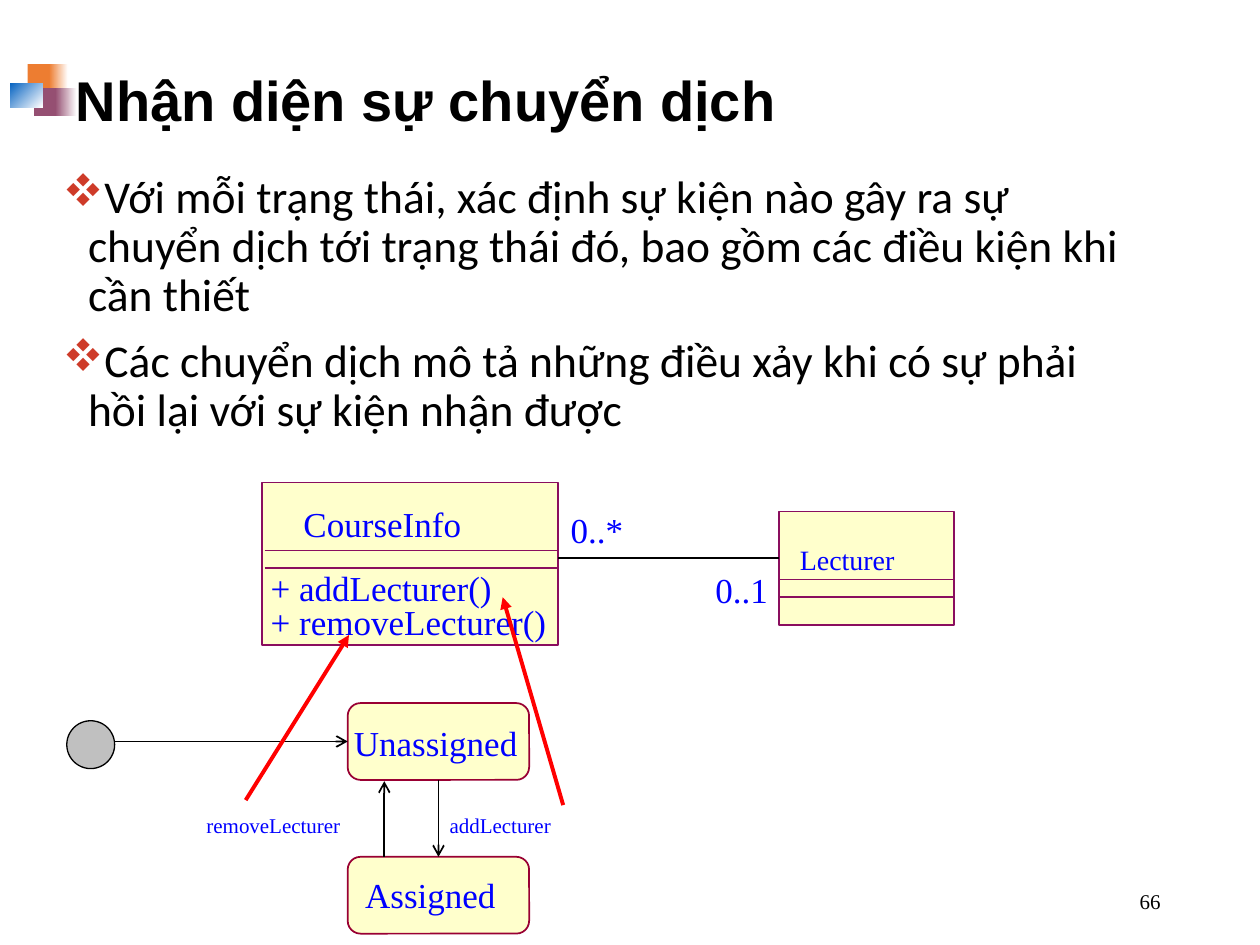
from lxml import etree
from pptx import Presentation
from pptx.dml.color import RGBColor
from pptx.enum.shapes import MSO_CONNECTOR, MSO_SHAPE
from pptx.enum.text import MSO_ANCHOR, PP_ALIGN
from pptx.oxml.ns import qn
from pptx.util import Inches, Pt

RECT, ROUND, OVAL = MSO_SHAPE.RECTANGLE, MSO_SHAPE.ROUNDED_RECTANGLE, MSO_SHAPE.OVAL
LINE = MSO_CONNECTOR.STRAIGHT
LEFT, RIGHT = PP_ALIGN.LEFT, PP_ALIGN.RIGHT
TOP, MIDDLE = MSO_ANCHOR.TOP, MSO_ANCHOR.MIDDLE
SERIF = "Times New Roman"
BLACK, BLUE, RED, CREAM, PLUM = "000000", "0000FF", "FF0000", "FFFFCC", "8A0E5E"
color = RGBColor.from_string

# The slide is a grid of 100 columns by 75 rows
prs = Presentation()
prs.slide_width, prs.slide_height = Inches(10), Inches(7.5)
cell = prs.slide_width / 100
slide = prs.slides.add_slide(prs.slide_layouts[5])
shapes = slide.shapes


def grid(*spots):
    return [round(n * cell) for n in spots]


def add_run(para, text, size, font, ink, bold=False):
    run = para.add_run()
    run.text = text
    run.font.size, run.font.name, run.font.bold = Pt(size), font, bold
    run.font.color.rgb = color(ink)


# Corner ornament: plain and fading blocks
blocks = [
    ((2.2, 5.1, 2, 2.2), ["ED7D31"], 0),
    ((3.9, 5.1, 1.5, 2.2), ["ED7D31", "FFFFFF"], 0),
    ((2.7, 7, 1.9, 2.2), ["954F72"], 0),
    ((4.4, 7, 1.7, 2.2), ["954F72", "FFFFFF"], 0),
    ((0.8, 6.6, 2.6, 1.9), ["0563C1", "FFFFFF"], 315),
]
for spot, inks, angle in blocks:
    block = shapes.add_shape(RECT, *grid(*spot))
    block.shadow.inherit = False
    block.line.fill.background()
    if len(inks) == 1:
        block.fill.solid()
        block.fill.fore_color.rgb = color(inks[0])
    else:
        block.fill.gradient()
        block.fill.gradient_angle = angle
        for stop, ink in zip(block.fill.gradient_stops, inks):
            stop.color.rgb = color(ink)

# Title
title = shapes.title
title.left, title.top, title.width, title.height = grid(5, 3.05, 90, 10.3)
title.text_frame.vertical_anchor = MIDDLE
para = title.text_frame.paragraphs[0]
para.alignment, para.line_spacing = LEFT, 0.9
add_run(para, "Nhận diện sự chuyển dịch", 32, "Arial", BLACK, True)

# Bulleted points; "v" is the diamond cluster in Wingdings
points = [
    "Với mỗi trạng thái, xác định sự kiện nào gây ra sự chuyển dịch tới "
    "trạng thái đó, bao gồm các điều kiện khi cần thiết",
    "Các chuyển dịch mô tả những điều xảy khi có sự phải "
    "hồi lại với sự kiện nhận được",
]
frame = shapes.add_textbox(*grid(4, 13.3, 87.8, 53.3)).text_frame
frame.word_wrap = True
for i, point in enumerate(points):
    para = frame.add_paragraph() if i else frame.paragraphs[0]
    para.line_spacing, para.space_before = 0.9, Pt(10)
    props = para._p.get_or_add_pPr()
    props.set("marL", str(Inches(0.2)))
    props.set("indent", str(-Inches(0.2)))
    tint = etree.SubElement(props, qn("a:buClr"))
    etree.SubElement(tint, qn("a:srgbClr"), val="CE3B29")
    etree.SubElement(props, qn("a:buFont"), typeface="Wingdings", charset="2")
    etree.SubElement(props, qn("a:buChar"), char="v")
    add_run(para, point, 26, "Calibri", BLACK)

# Class boxes, states and the start node
nodes = {}
for name, kind, spot, fill, edge, width in [
    ("course", RECT, (20.8, 38.3, 23.5, 12.9), CREAM, PLUM, 1),
    ("lecturer", RECT, (61.8, 40.6, 13.9, 9), CREAM, PLUM, 1),
    ("free", ROUND, (27.6, 55.8, 14.4, 6.1), CREAM, "990033", 1),
    ("taken", ROUND, (27.6, 68, 14.4, 6.1), CREAM, "990033", 1),
    ("start", OVAL, (5.3, 57.2, 3.8, 3.8), "C0C0C0", BLACK, 0.75),
]:
    node = nodes[name] = shapes.add_shape(kind, *grid(*spot))
    node.shadow.inherit = False
    node.fill.solid()
    node.fill.fore_color.rgb = color(fill)
    node.line.color.rgb, node.line.width = color(edge), Pt(width)

# Labels
for text, size, spot in [
    ("CourseInfo", 20, (23.1, 39.4, 22.8, 4.4)),
    ("+ addLecturer()", 20, (20.5, 44.5, 23.7, 4.4)),
    ("+ removeLecturer()", 20, (20.5, 47.2, 25.4, 4.4)),
    ("0..*", 20, (44.3, 39.9, 6.2, 4.4)),
    ("0..1", 20, (55.8, 44.6, 6.2, 4.4)),
    ("Lecturer", 16, (62.5, 42.6, 13, 3.7)),
    ("Unassigned", 20, (27.1, 56.8, 15.1, 4.4)),
    ("Assigned", 20, (28, 68.8, 13.6, 4.4)),
    ("removeLecturer", 12, (15.4, 64, 15.3, 3)),
    ("addLecturer", 12, (34.7, 64, 12.3, 3)),
    ("66", 12, (70.6, 69.5, 22.5, 4)),
]:
    page = text == "66"
    frame = shapes.add_textbox(*grid(*spot)).text_frame
    frame.word_wrap = True
    frame.vertical_anchor = MIDDLE if page else TOP
    para = frame.paragraphs[0]
    para.alignment = RIGHT if page else LEFT
    add_run(para, text, size, SERIF, BLACK if page else BLUE)

# Lines: ends, colour, width, arrowhead, joined (node, side) at each end
for ends, ink, width, head, first, last in [
    ((21, 43.7, 44.4, 43.7), PLUM, 1, None, None, None),
    ((21, 45.1, 44.4, 45.1), PLUM, 1, None, None, None),
    ((61.9, 46, 75.8, 46), PLUM, 1, None, None, None),
    ((61.9, 47.4, 75.8, 47.4), PLUM, 1, None, None, None),
    ((44.3, 44.3, 61.8, 44.3), BLACK, 1, None, None, None),
    ((9.1, 58.85, 27.6, 58.85), BLACK, 1, "arrow", None, ("free", 1)),
    ((34.8, 61.9, 34.8, 68), BLACK, 1, "arrow", ("free", 2), ("taken", 0)),
    ((30.5, 68, 30.5, 62), BLACK, 1, "arrow", None, None),
    ((44.7, 63.9, 39.9, 47.4), RED, 2.25, "triangle", None, None),
    ((19.5, 63.5, 27.7, 50.4), RED, 2.25, "triangle", None, None),
]:
    line = shapes.add_connector(LINE, *grid(*ends))
    line.line.color.rgb, line.line.width = color(ink), Pt(width)
    if first:
        line.begin_connect(nodes[first[0]], first[1])
    if last:
        line.end_connect(nodes[last[0]], last[1])
    if head:
        etree.SubElement(line.line._get_or_add_ln(), qn("a:tailEnd"), type=head)
    etree.SubElement(line._element.spPr, qn("a:effectLst"))

prs.save("out.pptx")
